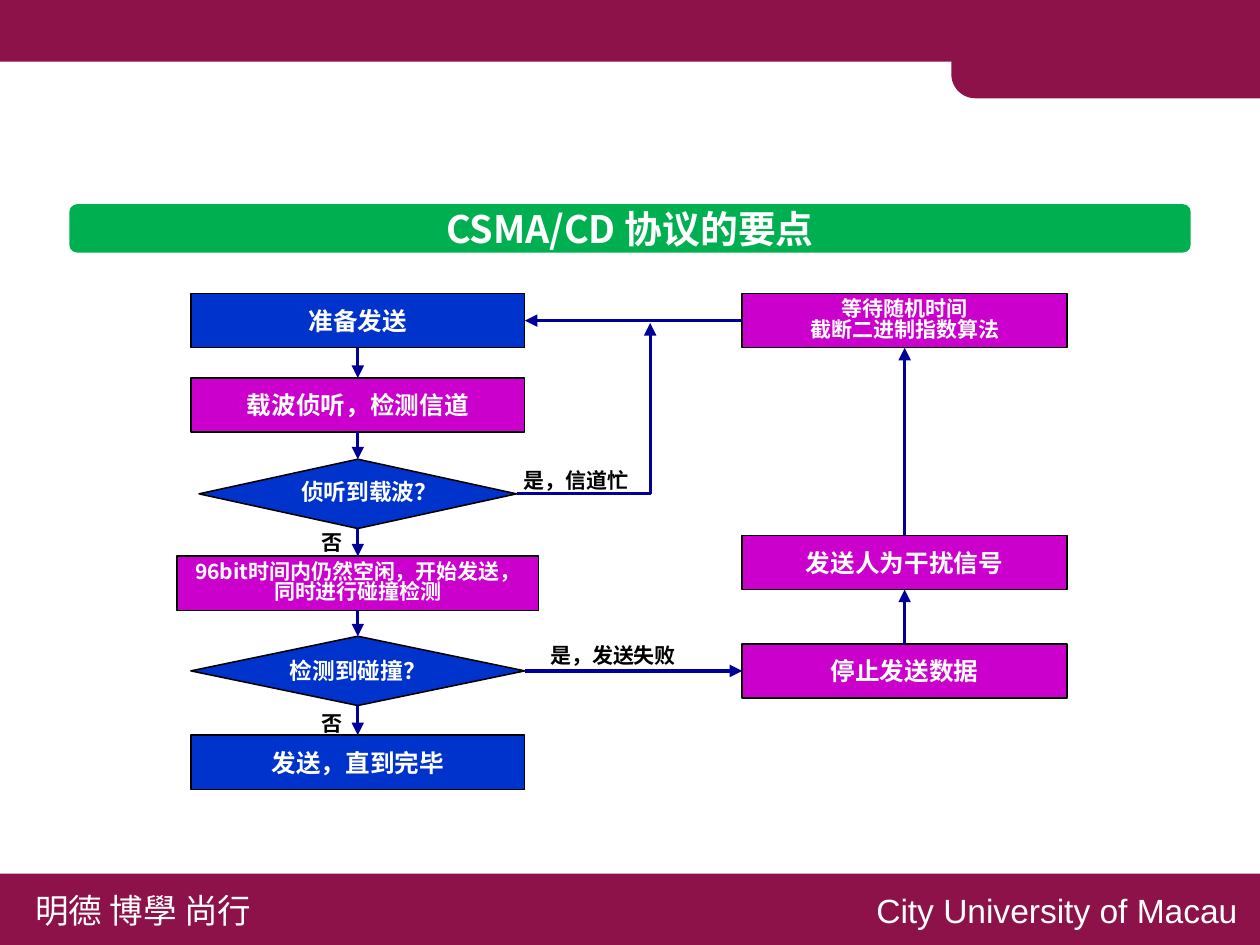
from lxml import etree
from pptx import Presentation
from pptx import util as u
from pptx.dml.color import RGBColor
from pptx.enum import shapes, text
from pptx.oxml.ns import qn

COLS, ROWS = 100, 75
CJK, LATIN = "Noto Sans CJK SC", "Arial"
WINE, GREEN, BLUE, PURPLE = "8D124A", "00B050", "0033CC", "CC00CC"
NAVY, BLACK, WHITE = "000099", "000000", "FFFFFF"
RECT = shapes.MSO_SHAPE.RECTANGLE
ROUND = shapes.MSO_SHAPE.ROUNDED_RECTANGLE
CORNER = shapes.MSO_SHAPE.ROUND_1_RECTANGLE
DIAMOND = shapes.MSO_SHAPE.DIAMOND
TOP, LEFT, BOTTOM, RIGHT = range(4)  # connection sites


def rgb(value):
    return RGBColor.from_string(value)


class Deck:
    """Slide on a grid of COLS by ROWS; all lengths are in grid units."""

    def __init__(self, width, height):
        self.prs = Presentation()
        self.prs.slide_width, self.prs.slide_height = u.Inches(width), u.Inches(height)
        self.col = self.prs.slide_width / COLS
        self.row = self.prs.slide_height / ROWS
        self.slide = self.prs.slides.add_slide(self.prs.slide_layouts[6])

    def place(self, x, y, w, h):
        return int(x * self.col), int(y * self.row), int(w * self.col), int(h * self.row)

    def add_text(self, sp, lines, size, color=WHITE, bold=True, font=CJK, wrap=True, spacing=None):
        tf = sp.text_frame
        tf.word_wrap = wrap
        tf.vertical_anchor = text.MSO_ANCHOR.MIDDLE
        tf.margin_left = tf.margin_right = u.Inches(0.08)
        tf.margin_top = tf.margin_bottom = u.Inches(0.04)
        for i, line in enumerate(lines):
            p = tf.add_paragraph() if i else tf.paragraphs[0]
            p.alignment = text.PP_ALIGN.CENTER
            p.line_spacing = spacing
            r = p.add_run()
            r.text = line
            r.font.size, r.font.bold, r.font.name = u.Pt(size), bold, font
            r.font.color.rgb = rgb(color)
            ea = etree.SubElement(r.font._element, qn("a:ea"))
            ea.set("typeface", font)

    def shape(self, kind, x, y, w, h, fill, outline=None):
        sp = self.slide.shapes.add_shape(kind, *self.place(x, y, w, h))
        sp.shadow.inherit = False
        sp.fill.solid()
        sp.fill.fore_color.rgb = rgb(fill)
        if outline:
            sp.line.color.rgb = rgb(outline)
            sp.line.width = u.Pt(0.75)
        else:
            sp.line.fill.background()
        return sp

    def node(self, kind, cx, cy, w, h, fill, size, *lines, spacing=None):
        sp = self.shape(kind, cx - w / 2, cy - h / 2, w, h, fill, BLACK)
        self.add_text(sp, lines, size, spacing=spacing)
        return sp

    def label(self, x, y, w, h, words, size, **style):
        sp = self.slide.shapes.add_textbox(*self.place(x, y, w, h))
        self.add_text(sp, [words], size, wrap=False, **style)

    def connector(self, kind, x1, y1, x2, y2):
        ends = self.place(x1, y1, x2, y2)
        cx = self.slide.shapes.add_connector(kind, *ends)
        cx.line.color.rgb = rgb(NAVY)
        cx.line.width = u.Pt(1.5)
        ln = cx._element.spPr.find(qn("a:ln"))
        etree.SubElement(ln, qn("a:tailEnd")).set("type", "triangle")
        etree.SubElement(cx._element.spPr, qn("a:effectLst"))
        return cx

    def arrow(self, start, start_site, end, end_site):
        cx = self.connector(shapes.MSO_CONNECTOR.STRAIGHT, 0, 0, 1, 1)
        cx.begin_connect(start, start_site)
        cx.end_connect(end, end_site)

    def corner_arrow(self, x1, y1, x2, y2):
        cx = self.connector(shapes.MSO_CONNECTOR.ELBOW, x1, y1, x2, y2)
        cx._element.spPr.find(qn("a:prstGeom")).set("prst", "bentConnector2")


def main():
    deck = Deck(8.33, 6.25)

    # Header band with its rounded tab, and footer
    deck.shape(RECT, 0, 0, COLS, 4.9, WINE)
    tab = deck.shape(CORNER, 75.5, 0.2, 24.5, 7.6, WINE)
    tab.rotation = 180
    tab.adjustments[0] = 0.25
    deck.shape(RECT, 0, 69.35, COLS, 5.65, WINE)
    deck.label(1.3, 70, 20.2, 4.4, "明德 博學 尚行", 16, bold=False)
    deck.label(68.2, 70, 31.4, 4.4, "City University of Macau", 16, bold=False, font=LATIN)

    # Title
    title = deck.shape(ROUND, 5.5, 16.2, 89, 3.85, GREEN)
    deck.add_text(title, ["CSMA/CD 协议的要点"], 18, wrap=False)

    # Sending column
    left, wide, box, rhomb = 28.4, 26.5, 4.3, 5.5
    tight = 0.82
    prepare = deck.node(RECT, left, 25.45, wide, box, BLUE, 11.7, "准备发送")
    sense = deck.node(RECT, left, 32.15, wide, box, PURPLE, 11.7, "载波侦听，检测信道")
    carrier = deck.node(DIAMOND, left, 39.2, 25.2, rhomb, BLUE, 10.8, "侦听到载波？", spacing=tight)
    send = deck.node(RECT, left, 46.3, 28.7, box, PURPLE, 10,
                     "96bit时间内仍然空闲，开始发送，", "同时进行碰撞检测", spacing=tight)
    collision = deck.node(DIAMOND, left, 53.25, wide, rhomb, BLUE, 10.8, "检测到碰撞？")
    finish = deck.node(RECT, left, 60.5, wide, box, BLUE, 11.7, "发送，直到完毕")

    # Back-off column
    right, narrow = 71.8, 25.8
    wait = deck.node(RECT, right, 25.45, narrow, box, PURPLE, 10,
                     "等待随机时间", "截断二进制指数算法", spacing=tight)
    jam = deck.node(RECT, right, 44.65, narrow, box, PURPLE, 11.7, "发送人为干扰信号")
    stop = deck.node(RECT, right, 53.25, narrow, box, PURPLE, 11.7, "停止发送数据")

    # Arrows
    column = [prepare, sense, carrier, send, collision, finish]
    for upper, lower in zip(column, column[1:]):
        deck.arrow(upper, BOTTOM, lower, TOP)
    deck.arrow(collision, RIGHT, stop, LEFT)
    deck.arrow(stop, TOP, jam, BOTTOM)
    deck.arrow(jam, TOP, wait, BOTTOM)
    deck.arrow(wait, LEFT, prepare, RIGHT)
    deck.corner_arrow(41, 39.2, 51.6, 25.65)

    # Branch labels
    for x, y, w, words in [(40.3, 36.5, 10.8, "是，信道忙"), (42.4, 50.4, 12.5, "是，发送失败"),
                           (24.3, 41.4, 4.1, "否"), (24.3, 55.8, 4.1, "否")]:
        deck.label(x, y, w, 3.25, words, 10, color=BLACK)

    deck.prs.save("out.pptx")


if __name__ == "__main__":
    main()
